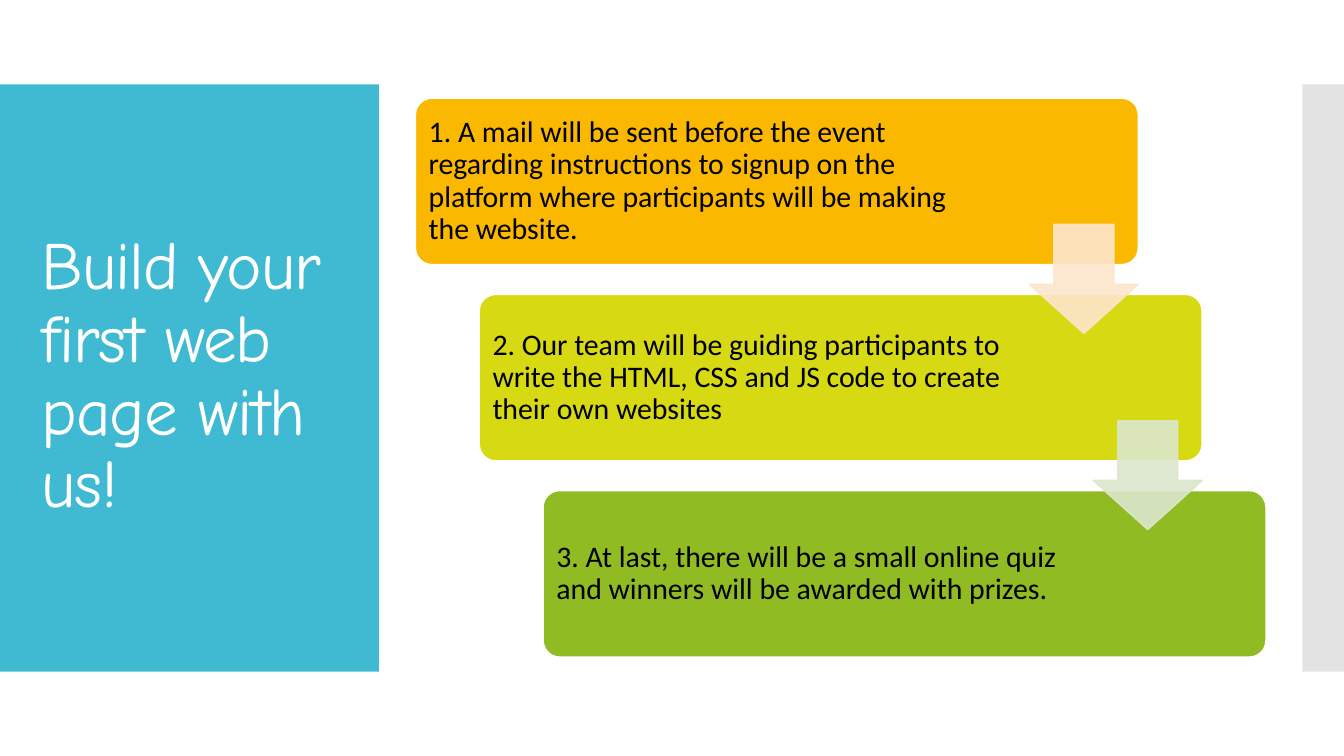
from lxml import etree
from pptx import Presentation
from pptx import util as u
from pptx.dml.color import RGBColor
from pptx.enum import shapes, text
from pptx.oxml.ns import qn

THEME = {
    "panel": "40BAD2", "edge": "C8C8C8", "white": "FFFFFF", "ink": "000000",
    "title_font": "Comic Neue", "title_size": 36,
    "body_font": "Calibri", "body_size": 16, "outline": 0.85,
}
TITLE = "Build your first web page with us!"
STEPS = [
    ("1. A mail will be sent before the event regarding instructions to signup on the "
     "platform where participants will be making the website.", "FAB900"),
    ("2. Our team will be guiding participants to write the HTML, CSS and JS code "
     "to create their own websites", "D7D913"),
    ("3. At last, there will be a small online quiz and winners will be awarded "
     "with prizes.", "90BB23"),
]
ARROW_COLOURS = ["FDE6CC", "DCE7CD"]

SLIDE_WIDTH = 10
SLIDE_HEIGHT = SLIDE_WIDTH * 9 / 16
PANEL_HEIGHT = 4.37
PANEL_TOP = (SLIDE_HEIGHT - PANEL_HEIGHT) / 2
CARD_LEFT, CARD_TOP, CARD_WIDTH, CARD_HEIGHT = 3.09, 0.73, 5.38, 1.24
STEP_X, STEP_Y = 0.95 / 2, 1.46
TEXT_WIDTH, TEXT_GAP, TEXT_INSET = 4.04, 0.03, 0.07
ARROW_LEFT, ARROW_TOP, ARROW_SIZE = 7.66, 1.67, 0.81


def inches(*lengths):
    """Convert several lengths to inches."""
    return [u.Inches(length) for length in lengths]


def paint(fill, colour, opacity=100):
    """Give a fill one colour and an opacity in percent."""
    fill.solid()
    fill.fore_color.rgb = RGBColor.from_string(colour)
    if opacity < 100:
        for node in fill._xPr.iter(qn("a:srgbClr")):
            etree.SubElement(node, qn("a:alpha")).set("val", str(opacity * 1000))


def add_block(page, kind, place, colour, opacity=100, outline=None, adjustments=()):
    """Add a preset shape without a shadow."""
    block = page.shapes.add_shape(kind, *inches(*place))
    block.shadow.inherit = False
    for index, value in enumerate(adjustments):
        block.adjustments[index] = value
    paint(block.fill, colour, opacity)
    if outline:
        block.line.width = u.Pt(THEME["outline"])
        paint(block.line.fill, outline, opacity)
    else:
        block.line.fill.background()


def write(box, words, font, size, colour):
    """Write one left-aligned paragraph, centred vertically."""
    frame = box.text_frame
    frame.word_wrap = True
    frame.auto_size = text.MSO_AUTO_SIZE.NONE
    frame.vertical_anchor = text.MSO_ANCHOR.MIDDLE
    para = frame.paragraphs[0]
    para.alignment = text.PP_ALIGN.LEFT
    para.line_spacing = 0.9
    span = para.add_run()
    span.text = words
    span.font.name = font
    span.font.size = u.Pt(size)
    span.font.color.rgb = RGBColor.from_string(colour)
    return span


def add_title(page):
    """Format the title and bring it in front of the side panels."""
    title = page.shapes.title
    title.left, title.top, title.width, title.height = inches(0.21, 0.92, 2.42, 3.77)
    span = write(title, TITLE, THEME["title_font"], THEME["title_size"], THEME["white"])
    span.font._element.set("spc", "-60")
    title.element.getparent().append(title.element)


def add_step(page, index, words, colour):
    """Add one card of the staircase with its text."""
    left, top = CARD_LEFT + index * STEP_X, CARD_TOP + index * STEP_Y
    add_block(page, shapes.MSO_SHAPE.ROUNDED_RECTANGLE, (left, top, CARD_WIDTH, CARD_HEIGHT),
              colour, outline=THEME["white"], adjustments=[0.1])
    box = page.shapes.add_textbox(*inches(left + TEXT_GAP, top + TEXT_GAP, TEXT_WIDTH,
                                          CARD_HEIGHT - 2 * TEXT_GAP))
    frame = box.text_frame
    frame.margin_left = frame.margin_right = u.Inches(TEXT_INSET)
    frame.margin_top = frame.margin_bottom = u.Inches(TEXT_INSET)
    write(box, words, THEME["body_font"], THEME["body_size"], THEME["ink"])


def main():
    """Build the slide and save it."""
    deck = Presentation()
    deck.slide_width, deck.slide_height = inches(SLIDE_WIDTH, SLIDE_HEIGHT)
    page = deck.slides.add_slide(deck.slide_layouts[5])
    rectangle = shapes.MSO_SHAPE.RECTANGLE
    add_block(page, rectangle, (0, PANEL_TOP, 2.82, PANEL_HEIGHT), THEME["panel"])
    add_block(page, rectangle, (9.69, PANEL_TOP, 0.31, PANEL_HEIGHT), THEME["edge"], 50)
    add_title(page)
    for index, (words, colour) in enumerate(STEPS):
        add_step(page, index, words, colour)
    for index, colour in enumerate(ARROW_COLOURS):
        place = (ARROW_LEFT + index * STEP_X, ARROW_TOP + index * STEP_Y, ARROW_SIZE, ARROW_SIZE)
        add_block(page, shapes.MSO_SHAPE.DOWN_ARROW, place, colour, 90, colour, [0.55, 0.45])
    deck.save("out.pptx")


if __name__ == "__main__":
    main()
